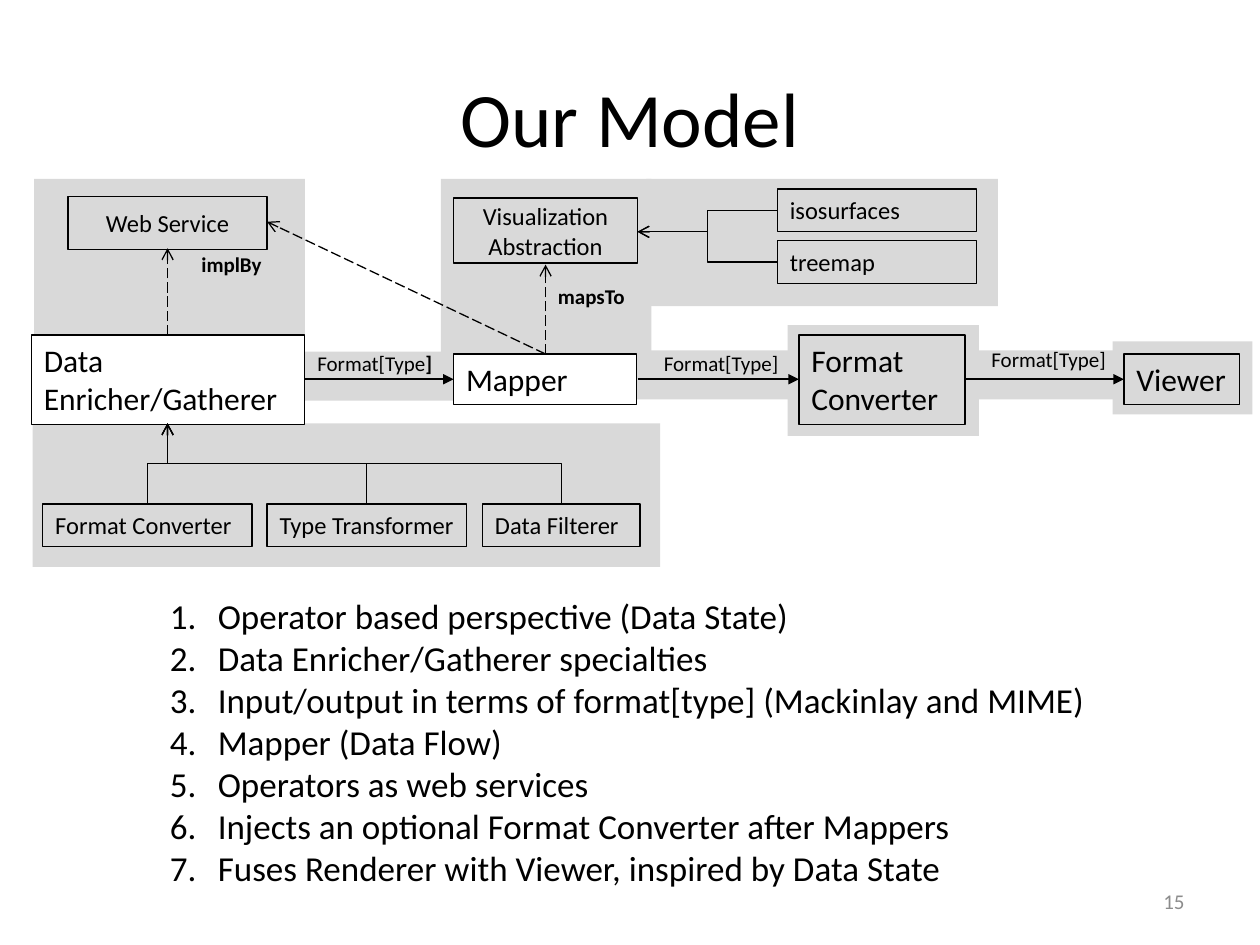
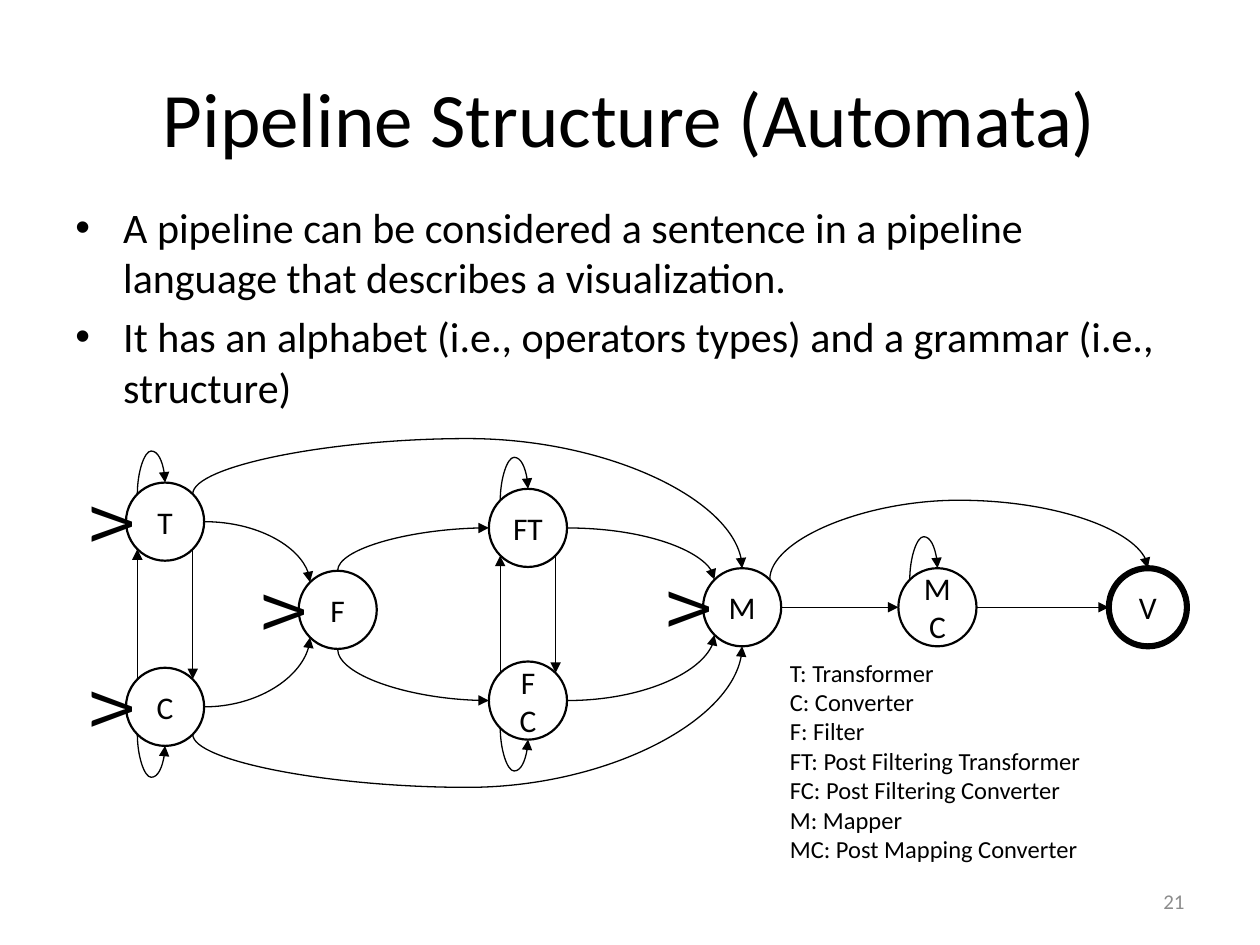
from lxml import etree
from pptx import Presentation
from pptx.dml.color import RGBColor
from pptx.enum.dml import MSO_LINE
from pptx.enum.shapes import MSO_CONNECTOR, MSO_SHAPE
from pptx.enum.text import MSO_ANCHOR, PP_ALIGN
from pptx.oxml.ns import qn
from pptx.util import Inches, Pt

RECT, OVAL = MSO_SHAPE.RECTANGLE, MSO_SHAPE.OVAL
STRAIGHT, ELBOW, CURVE = MSO_CONNECTOR.STRAIGHT, MSO_CONNECTOR.ELBOW, MSO_CONNECTOR.CURVE
LEFT, CENTER, RIGHT = PP_ALIGN.LEFT, PP_ALIGN.CENTER, PP_ALIGN.RIGHT
TOP, MIDDLE = MSO_ANCHOR.TOP, MSO_ANCHOR.MIDDLE
LONG_DASH = MSO_LINE.LONG_DASH
FONT = "Calibri"
BLACK, WHITE, PANEL_GREY, NUMBER_GREY = "000000", "FFFFFF", "D9D9D9", "8C8C8C"
TITLE_ONLY = 5
HANGING = Inches(0.38)
NODE_RADIUS = 0.31
PORTS = {"N": (0, -1), "E": (1, 0), "S": (0, 1),
         "NW": (-0.71, -0.71), "NE": (0.71, -0.71), "SW": (-0.71, 0.71), "SE": (0.71, 0.71)}


def color(hex_string):
    return RGBColor.from_string(hex_string)


def place(shape, box):
    shape.left, shape.top, shape.width, shape.height = (Inches(v) for v in box)


def add_bullet(paragraph, bullet):
    """Give a hanging bullet: "1." counts, any other string is the sign itself."""
    properties = paragraph._p.get_or_add_pPr()
    properties.set("marL", str(HANGING))
    properties.set("indent", str(-HANGING))
    if bullet == "1.":
        etree.SubElement(properties, qn("a:buFont"), typeface="+mj-lt")
        etree.SubElement(properties, qn("a:buAutoNum"), type="arabicPeriod")
    else:
        etree.SubElement(properties, qn("a:buFont"), typeface="Arial")
        etree.SubElement(properties, qn("a:buChar"), char=bullet)


def write(shape, lines, size=14, bold=False, ink=BLACK, align=LEFT, anchor=TOP,
          bullet=None, before=0, wrap=True):
    """Write one paragraph per line; a (plain, strong) pair ends in bold."""
    frame = shape.text_frame
    frame.word_wrap = wrap
    frame.vertical_anchor = anchor
    for index, line in enumerate([lines] if isinstance(lines, str) else lines):
        paragraph = frame.paragraphs[0] if index == 0 else frame.add_paragraph()
        paragraph.alignment = align
        paragraph.space_before = Pt(before)
        if bullet:
            add_bullet(paragraph, bullet)
        plain, strong = (line, "") if isinstance(line, str) else line
        for words, is_bold in ((plain, bold), (strong, True)):
            if words:
                run = paragraph.add_run()
                run.text = words
                run.font.name = FONT
                run.font.size = Pt(size)
                run.font.bold = is_bold
                run.font.color.rgb = color(ink)


class Deck:
    def __init__(self):
        self.presentation = Presentation()
        self.presentation.slide_width = Inches(10)
        self.presentation.slide_height = Inches(7.5)
        self.slide = None

    def start_slide(self, title, number):
        self.slide = self.presentation.slides.add_slide(
            self.presentation.slide_layouts[TITLE_ONLY])
        heading = self.slide.shapes.title
        place(heading, (0.5, 0.3, 9, 1.25))
        write(heading, title, size=44, align=CENTER, anchor=MIDDLE)
        self.text((7.17, 6.95, 2.33, 0.4), number, size=12, ink=NUMBER_GREY,
                  align=RIGHT, anchor=MIDDLE)

    def text(self, box, lines, rotation=0, **style):
        label = self.slide.shapes.add_textbox(*(Inches(v) for v in box))
        label.rotation = rotation
        write(label, lines, **style)

    def shape(self, box, lines=None, kind=RECT, fill=None, line=0.75, **style):
        shape = self.slide.shapes.add_shape(kind, *(Inches(v) for v in box))
        shape.shadow.inherit = False
        if fill:
            shape.fill.solid()
            shape.fill.fore_color.rgb = color(fill)
        else:
            shape.fill.background()
        if line:
            shape.line.color.rgb = color(BLACK)
            shape.line.width = Pt(line)
        else:
            shape.line.fill.background()
        if lines:
            write(shape, lines, **style)

    def arrow(self, start, end, kind=STRAIGHT, head="triangle", width=0.75, dash=None,
              upright=False, peak=None, quarter=False):
        """Draw an arrow. upright: it leaves vertically; peak: the height where it
        turns back; quarter: a single bend instead of two."""
        (x1, y1), (x2, y2) = start, end
        turn = 0
        if upright:
            turn = 1 if (x2 - x1) * (y2 - y1) < 0 else -1
            middle_x, middle_y = (x1 + x2) / 2, (y1 + y2) / 2
            half_u, half_v = turn * (y2 - y1) / 2, -turn * (x2 - x1) / 2
            x1, x2 = middle_x - half_u, middle_x + half_u
            y1, y2 = middle_y - half_v, middle_y + half_v
        connector = self.slide.shapes.add_connector(
            kind, *(Inches(v) for v in (x1, y1, x2, y2)))
        connector.line.color.rgb = color(BLACK)
        connector.line.width = Pt(width)
        if dash:
            connector.line.dash_style = dash
        properties = connector._element.spPr
        if turn:
            properties.find(qn("a:xfrm")).set("rot", str(turn % 4 * 5400000))
        geometry = properties.find(qn("a:prstGeom"))
        if quarter:
            geometry.set("prst", "curvedConnector2")
        if peak is not None:
            share = (peak - start[1]) / (end[1] - start[1])
            etree.SubElement(geometry.find(qn("a:avLst")), qn("a:gd"), name="adj1",
                             fmla=f"val {round(share * 100000)}")
        etree.SubElement(properties.find(qn("a:ln")), qn("a:tailEnd"), type=head)
        etree.SubElement(properties, qn("a:effectLst"))


def build_model(deck):
    deck.start_slide("Our Model", "15")
    for panel in ((5.13, 1.42, 2.79, 1.01), (8.83, 2.71, 1.11, 0.58), (6.25, 2.58, 1.52, 0.88),
                  (5, 2.78, 1.33, 0.39), (7.67, 2.78, 1.28, 0.39), (2.42, 2.79, 1.19, 0.39),
                  (3.5, 1.42, 1.67, 1.39), (0.27, 1.42, 2.15, 1.25), (0.26, 3.36, 4.98, 1.14)):
        deck.shape(panel, fill=PANEL_GREY, line=0)

    deck.shape((0.25, 2.66, 2.17, 0.71), "Data Enricher/Gatherer", fill=WHITE, size=18)
    deck.shape((3.6, 2.81, 1.45, 0.4), "Mapper", fill=WHITE, size=18)
    deck.shape((6.34, 2.66, 1.32, 0.71), ["Format", "Converter"], size=18)
    deck.shape((8.92, 2.81, 0.92, 0.4), "Viewer", size=18, wrap=False)
    for start, end in ((2.42, 3.6), (5.06, 6.34), (7.67, 8.92)):
        deck.arrow((start, 3.01), (end, 3.01), width=1)
    for left, top, flow in ((2.42, 2.73, [("Format[Type", "]")]),
                            (5.17, 2.73, "Format[Type]"), (7.77, 2.7, "Format[Type]")):
        deck.text((left, top, 1.15, 0.3), flow, size=12)

    for left, width, specialty in ((0.34, 1.66, "Format Converter"),
                                   (2.12, 1.58, "Type Transformer"),
                                   (3.83, 1.25, "Data Filterer")):
        deck.shape((left, 4, width, 0.34), specialty)
        deck.arrow((left + width / 2, 4), (1.33, 3.36), ELBOW, "arrow", upright=True)

    for box, concept in (((3.6, 1.57, 1.46, 0.52), ["Visualization", "Abstraction"]),
                         ((0.54, 1.56, 1.58, 0.42), "Web Service")):
        deck.shape(box, concept, line=1, align=CENTER, anchor=MIDDLE)
    for top, technique in ((1.5, "isosurfaces"), (1.91, "treemap")):
        deck.shape((6.17, top, 1.58, 0.34), technique)
        deck.arrow((6.17, top + 0.17), (5.06, 1.84), ELBOW, "arrow")

    for start, end in (((4.33, 2.81), (4.33, 2.1)), ((1.33, 2.66), (1.33, 1.97)),
                       ((4.33, 2.81), (2.12, 1.76))):
        deck.arrow(start, end, head="arrow", dash=LONG_DASH)
    deck.text((4.33, 2.2, 0.84, 0.3), "mapsTo", size=12, bold=True)
    deck.text((1.5, 1.95, 0.92, 0.3), "implBy", size=12, bold=True)

    deck.text((1.25, 4.67, 7.49, 2.46), [
        "Operator based perspective (Data State)",
        "Data Enricher/Gatherer specialties",
        "Input/output in terms of format[type] (Mackinlay and MIME)",
        "Mapper (Data Flow)",
        "Operators as web services",
        "Injects an optional Format Converter after Mappers",
        "Fuses Renderer with Viewer, inspired by Data State",
    ], size=20, bullet="1.")


def build_automata(deck):
    deck.start_slide("Pipeline Structure (Automata)", "21")
    deck.text((0.5, 1.55, 9, 4.95), [
        "A pipeline can be considered a sentence in a pipeline language "
        "that describes a visualization.",
        "It has an alphabet (i.e., operators types) and a grammar (i.e., structure)",
    ], size=24, bullet="•", before=4.8)

    states = {"T": (1.31, 4.14), "C": (1.31, 5.61), "F": (2.68, 4.84), "FT": (4.19, 4.19),
              "FC": (4.19, 5.56), "M": (5.89, 4.82), "MC": (7.44, 4.82), "V": (9.11, 4.82)}
    for state, (x, y) in states.items():
        deck.shape((x - NODE_RADIUS, y - NODE_RADIUS, 2 * NODE_RADIUS, 2 * NODE_RADIUS),
                   state, kind=OVAL, line=3.5 if state == "V" else 1.25, size=18,
                   align=CENTER, anchor=MIDDLE)

    def port(state, side):
        (x, y), (across, down) = states[state], PORTS[side]
        return x + across * NODE_RADIUS, y + down * NODE_RADIUS

    def link(source, out_side, target, in_side, **style):
        deck.arrow(port(source, out_side), port(target, in_side), **style)

    for source, target, side in (("T", "F", "NW"), ("C", "F", "SW"),
                                 ("FT", "M", "NW"), ("FC", "M", "SW")):
        link(source, "E", target, side, kind=CURVE, quarter=True)
    for side, target in (("N", "FT"), ("S", "FC")):
        (x, y), (target_x, target_y) = port("F", side), states[target]
        deck.arrow((x, y), (target_x - NODE_RADIUS, target_y), CURVE, upright=True, quarter=True)
    for upper, lower in (("T", "C"), ("FT", "FC")):
        link(lower, "NW", upper, "SW")
        link(upper, "SE", lower, "NE")

    for state in ("T", "FT", "MC"):
        link(state, "NW", state, "N", kind=CURVE, upright=True, peak=states[state][1] - 0.56)
    for state in ("C", "FC"):
        link(state, "SW", state, "S", kind=CURVE, upright=True, peak=states[state][1] + 0.56)
    for source, out_side, target, in_side, peak in (("T", "NE", "M", "N", 3.48),
                                                    ("C", "SE", "M", "S", 6.25),
                                                    ("M", "NE", "V", "N", 3.97)):
        link(source, out_side, target, in_side, kind=CURVE, upright=True, peak=peak)
    for source, target in (("M", "MC"), ("MC", "V")):
        x, y = states[target]
        deck.arrow(port(source, "E"), (x - NODE_RADIUS, y))

    for start_state in "CTFM":
        x, y = states[start_state]
        deck.text((x - 0.72, y - 0.36, 0.53, 0.71), "V", rotation=270, size=36)
    deck.text((6.17, 5.17, 3.25, 1.75), [
        "T: Transformer", "C: Converter", "F: Filter", "FT: Post Filtering Transformer",
        "FC: Post Filtering Converter", "M: Mapper", "MC: Post Mapping Converter"])


def main():
    deck = Deck()
    build_model(deck)
    build_automata(deck)
    deck.presentation.save("out.pptx")


if __name__ == "__main__":
    main()
